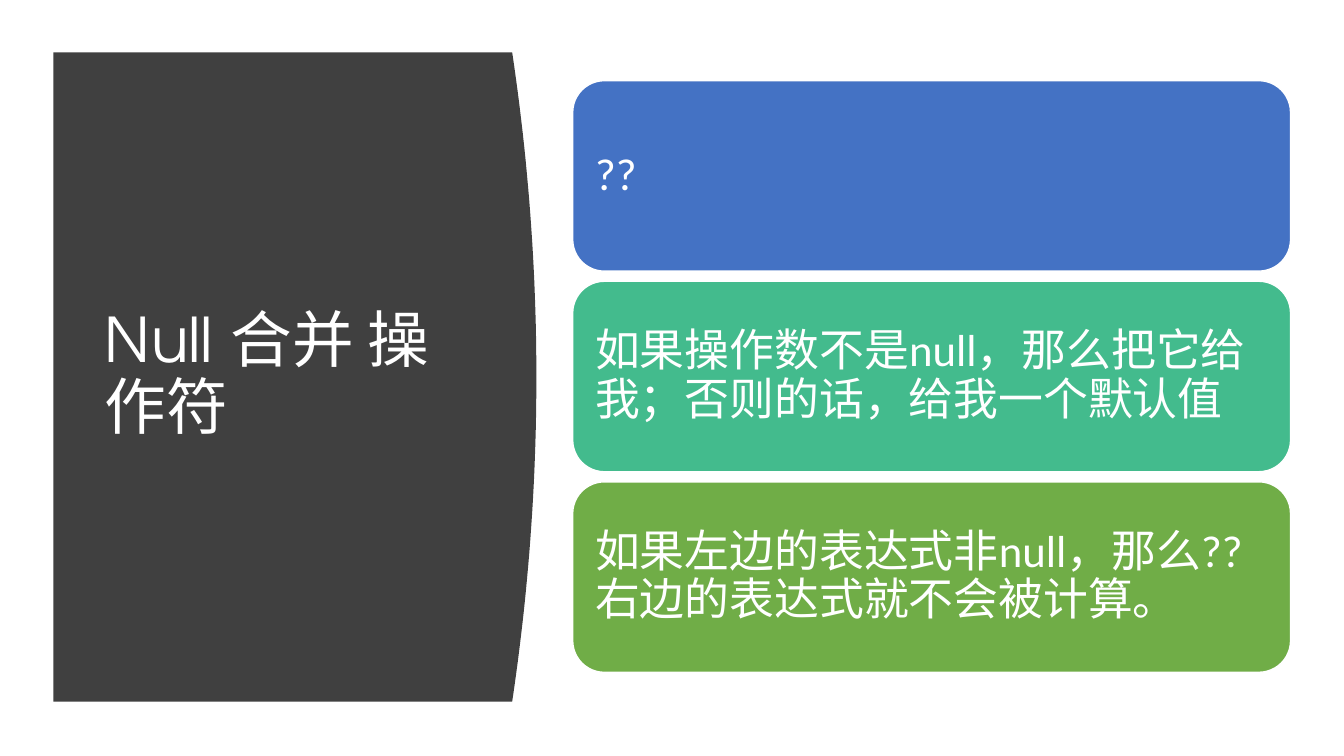
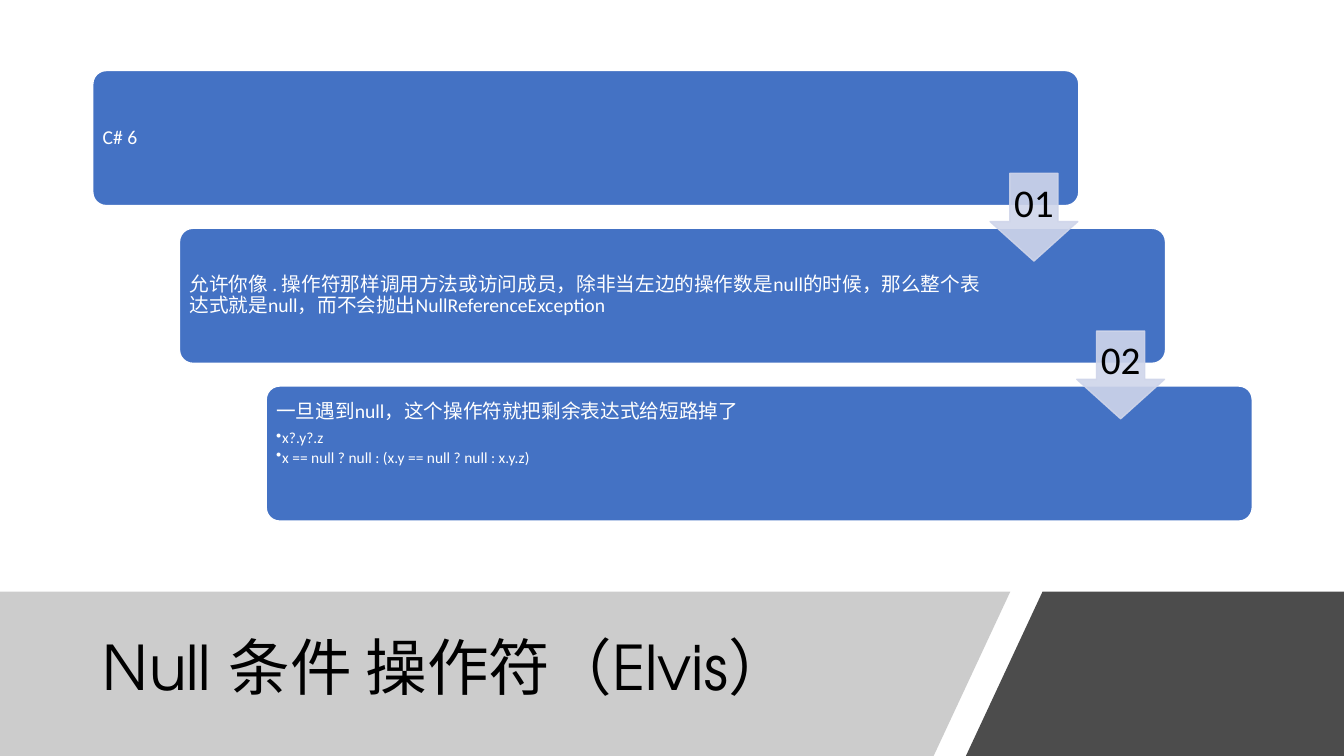
from dataclasses import dataclass

import lxml.etree
import pptx
import pptx.dml.color
import pptx.enum.shapes
import pptx.enum.text
import pptx.oxml.ns
import pptx.util

Inches = pptx.util.Inches
Pt = pptx.util.Pt
qn = pptx.oxml.ns.qn
Anchor = pptx.enum.text.MSO_ANCHOR
Align = pptx.enum.text.PP_ALIGN
Preset = pptx.enum.shapes.MSO_SHAPE

WIDTH, HEIGHT = 13.33, 7.5
TITLE_FONT, BODY_FONT = "TeX Gyre Adventor", "Calibri"
WHITE, BLACK = "FFFFFF", "000000"
BLUE, TEAL, GREEN = "4472C4", "43BB8D", "70AD47"
CHARCOAL, GRAY, PALE_BLUE = "404040", "808080", "CFD5EA"


@dataclass
class Line:
    text: str
    size: float
    color: str = WHITE
    font: str = BODY_FONT
    align: Align = Align.LEFT
    after: float = 0
    bullet: bool = False


@dataclass
class Block:
    preset: Preset
    left: float
    top: float
    width: float
    height: float
    fill: str
    insets: tuple[float, float, float, float]
    lines: list[Line]
    adjustments: tuple[float, ...] = ()
    opacity: int = 100
    outline: str = WHITE
    anchor: Anchor = Anchor.MIDDLE
    wrap: bool = True


def rgb(value: str) -> pptx.dml.color.RGBColor:
    return pptx.dml.color.RGBColor.from_string(value)


def paint(shape, fill: str, opacity: int = 100, outline: str | None = None) -> None:
    shape.shadow.inherit = False
    shape.fill.solid()
    shape.fill.fore_color.rgb = rgb(fill)
    if outline is None:
        shape.line.fill.background()
    else:
        shape.line.color.rgb = rgb(outline)
        shape.line.width = Pt(1)
    if opacity < 100:
        for color in shape._element.spPr.iter(qn("a:srgbClr")):
            alpha = lxml.etree.SubElement(color, qn("a:alpha"))
            alpha.set("val", str(opacity * 1000))


def write(frame, lines: list[Line], anchor: Anchor = Anchor.MIDDLE) -> None:
    frame.vertical_anchor = anchor
    for index, line in enumerate(lines):
        paragraph = frame.add_paragraph() if index else frame.paragraphs[0]
        if line.bullet:
            properties = paragraph._p.get_or_add_pPr()
            properties.set("marL", str(Inches(0.06)))
            properties.set("indent", str(Inches(-0.06)))
            lxml.etree.SubElement(properties, qn("a:buChar")).set("char", "•")
        paragraph.alignment = line.align
        paragraph.line_spacing = 0.9
        paragraph.space_after = Pt(line.after)
        run = paragraph.add_run()
        run.text = line.text
        run.font.size = Pt(line.size)
        run.font.name = line.font
        run.font.color.rgb = rgb(line.color)


def draw_block(slide, block: Block) -> None:
    shape = slide.shapes.add_shape(
        block.preset, Inches(block.left), Inches(block.top), Inches(block.width), Inches(block.height)
    )
    for index, value in enumerate(block.adjustments):
        shape.adjustments[index] = value
    paint(shape, block.fill, block.opacity, block.outline)
    frame = shape.text_frame
    frame.word_wrap = block.wrap
    frame.margin_left, frame.margin_top, frame.margin_right, frame.margin_bottom = map(Inches, block.insets)
    write(frame, block.lines, block.anchor)


def draw_panel(slide, points: list[tuple[float, float]], fill: str, opacity: int = 100) -> None:
    corners = [(Inches(x), Inches(y)) for x, y in points]
    builder = slide.shapes.build_freeform(*corners[0])
    builder.add_line_segments(corners[1:], close=True)
    paint(builder.convert_to_shape(), fill, opacity)


def draw_title(slide, text: str, left: float, top: float, width: float, height: float, color: str) -> None:
    title = slide.shapes.add_textbox(Inches(left), Inches(top), Inches(width), Inches(height))
    title.text_frame.word_wrap = True
    write(title.text_frame, [Line(text, 44, color, TITLE_FONT)])


def coalescing_slide(slide) -> None:
    left, edge, bulge = 0.53, 5.08, 0.24
    top, bottom, steps = 0.52, 6.96, 48
    curve = []
    for step in range(steps + 1):
        offset = 2 * step / steps - 1
        curve.append((edge + bulge * (1 - offset**2), top + (bottom - top) * step / steps))
    draw_panel(slide, [(left, top), *curve, (left, bottom)], CHARCOAL)
    draw_title(slide, "Null 合并 操作符", 0.94, 1.11, 3.74, 5.24, WHITE)

    points = [
        (BLUE, "??"),
        (TEAL, "如果操作数不是null，那么把它给我；否则的话，给我一个默认值"),
        (GREEN, "如果左边的表达式非null，那么??右边的表达式就不会被计算。"),
    ]
    for row, (fill, text) in enumerate(points):
        draw_block(
            slide,
            Block(Preset.ROUNDED_RECTANGLE, 5.68, 0.8 + row * 1.99, 7.12, 1.89, fill, (0.13,) * 4, [Line(text, 32)]),
        )


def conditional_slide(slide) -> None:
    band_top = 5.87
    draw_panel(slide, [(0, band_top), (10.02, band_top), (9.26, HEIGHT), (0, HEIGHT)], GRAY, 40)
    draw_title(slide, "Null 条件 操作符（Elvis）", 0.92, 6.05, 8.44, 1.2, BLACK)
    draw_panel(slide, [(10.34, band_top), (WIDTH, band_top), (WIDTH, HEIGHT), (9.58, HEIGHT)], BLACK, 70)

    stages = [
        [Line("C# 6", 14)],
        [
            Line(
                "允许你像 . 操作符那样调用方法或访问成员，除非当左边的操作数是null的时候，"
                "那么整个表达式就是null，而不会抛出NullReferenceException",
                14,
            )
        ],
        [
            Line("一旦遇到null，这个操作符就把剩余表达式给短路掉了", 14, after=5),
            Line("x?.y?.z", 11, after=2, bullet=True),
            Line("x == null ? null : (x.y == null ? null : x.y.z)", 11, bullet=True),
        ],
    ]
    shift, drop = 0.86, 1.565
    for row, lines in enumerate(stages):
        detailed = len(lines) > 1
        draw_block(
            slide,
            Block(
                Preset.ROUNDED_RECTANGLE,
                0.92 + row * shift,
                0.7 + row * drop,
                9.78,
                1.34,
                BLUE,
                (0.06, 0.12 if detailed else 0.06, 1.8, 0.06),
                lines,
                adjustments=(0.1,),
                anchor=Anchor.TOP if detailed else Anchor.MIDDLE,
            ),
        )
    for row in range(len(stages) - 1):
        draw_block(
            slide,
            Block(
                Preset.DOWN_ARROW,
                9.82 + row * shift,
                1.72 + row * drop,
                0.87,
                0.87,
                PALE_BLUE,
                (0.04, 0.04, 0.04, 0.08),
                [Line(f"{row + 1:02d}", 28, BLACK, align=Align.CENTER)],
                adjustments=(0.55, 0.45),
                opacity=90,
                outline=PALE_BLUE,
                wrap=False,
            ),
        )


def main() -> None:
    deck = pptx.Presentation()
    deck.slide_width, deck.slide_height = Inches(WIDTH), Inches(HEIGHT)
    for build in (coalescing_slide, conditional_slide):
        build(deck.slides.add_slide(deck.slide_layouts[6]))
    deck.save("out.pptx")


if __name__ == "__main__":
    main()
